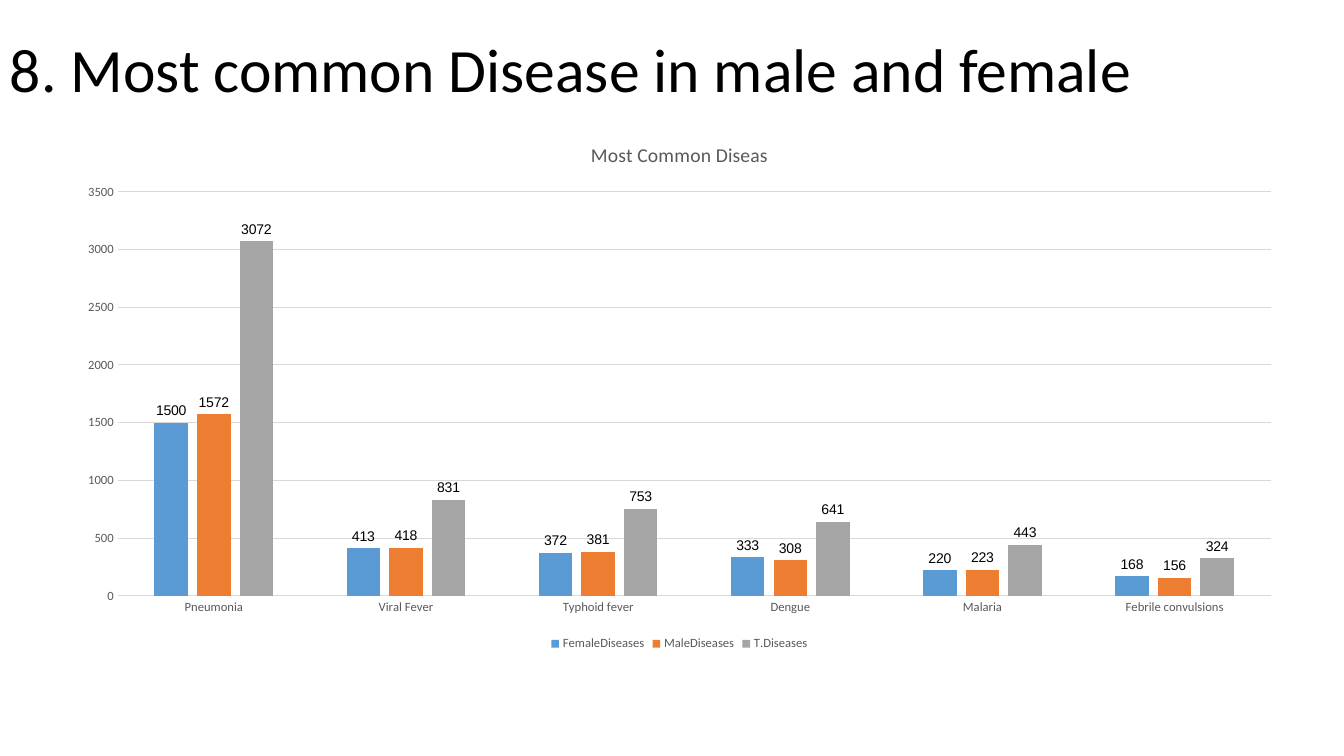
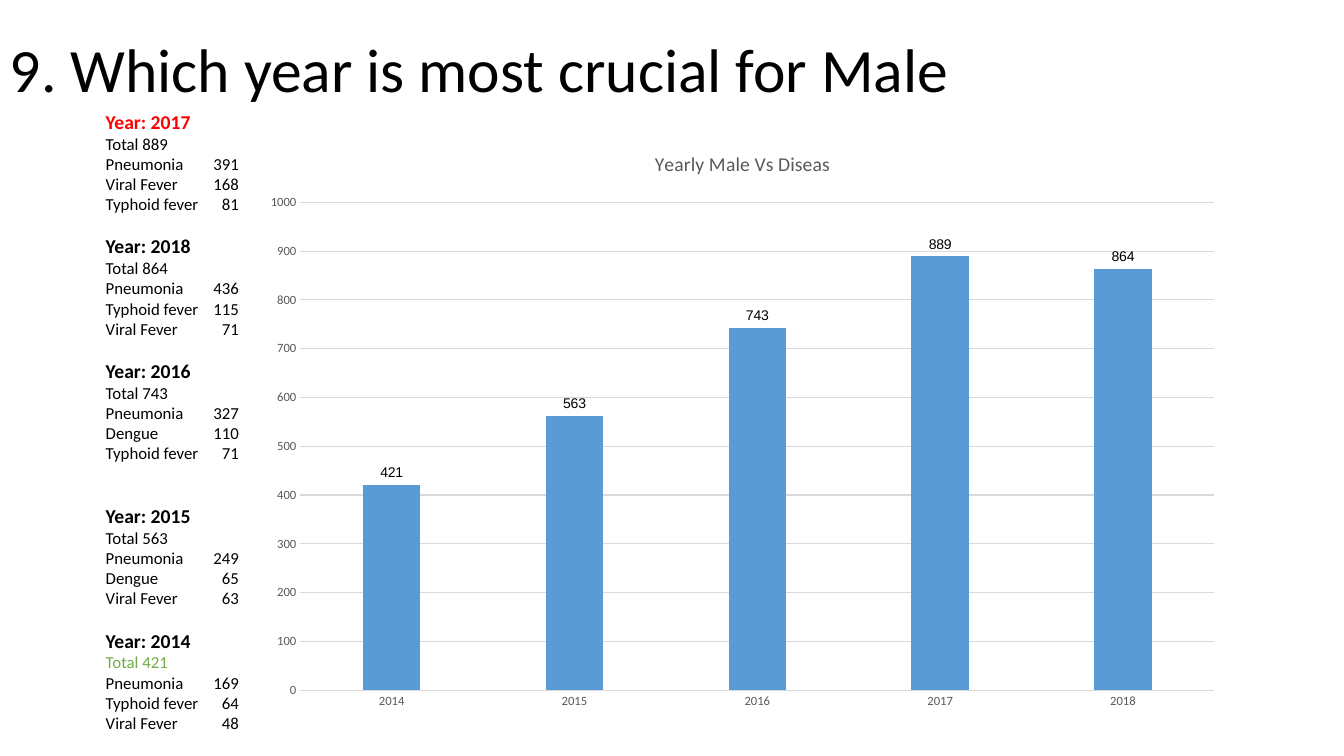
from collections import namedtuple

from lxml.etree import SubElement
from pptx import Presentation
from pptx.chart.data import CategoryChartData
from pptx.dml.color import RGBColor
from pptx.enum.chart import (XL_CHART_TYPE as ChartType, XL_LABEL_POSITION as LabelPosition,
                             XL_LEGEND_POSITION as LegendPosition, XL_TICK_MARK as TickMark)
from pptx.enum.text import MSO_ANCHOR as Anchor
from pptx.oxml.ns import qn
from pptx.util import Inches, Pt

# Shared look
BLACK, GREY, GRID = "000000", "595959", "D9D9D9"
RED, GREEN = "FF0000", "70AD47"
SERIES_COLORS = ["5B9BD5", "ED7D31", "A5A5A5"]
BODY_FONT, LABEL_FONT = "Calibri", "Arial"

Box = namedtuple("Box", "left top width height")

deck = Presentation()
deck.slide_width, deck.slide_height = Inches(13.33), Inches(7.5)


def share(left, top, width, height):
    """Box given in percent of the slide's width and height."""
    across, down = deck.slide_width / 100, deck.slide_height / 100
    return Box(int(left * across), int(top * down), int(width * across), int(height * down))


TITLE_BOX = share(0, 0, 101.8, 19.33)


def color(hex_value):
    return RGBColor.from_string(hex_value)


def style_font(font, size, hex_value, name=BODY_FONT, bold=False):
    font.size, font.name, font.bold = Pt(size), name, bold
    font.color.rgb = color(hex_value)


def add_span(para, text, size, hex_value=BLACK, bold=False):
    span = para.add_run()
    span.text = text
    style_font(span.font, size, hex_value, bold=bold)


def add_text_frame(page, box):
    frame = page.shapes.add_textbox(*box).text_frame
    frame.word_wrap = True
    return frame


def add_page(title):
    page = deck.slides.add_slide(deck.slide_layouts[6])
    frame = add_text_frame(page, TITLE_BOX)
    frame.vertical_anchor = Anchor.MIDDLE
    para = frame.paragraphs[0]
    para.line_spacing = 0.9
    add_span(para, title, 44)
    return page


def style_line(line):
    line.color.rgb = color(GRID)
    line.width = Pt(0.75)


def add_column_chart(page, box, title, categories, series, legend=False):
    data = CategoryChartData()
    data.categories = categories
    for name, values in series.items():
        data.add_series(name, values)
    chart = page.shapes.add_chart(ChartType.COLUMN_CLUSTERED, *box, data).chart
    style_font(chart.font, 10, BLACK, LABEL_FONT)

    # Title and legend
    chart.has_title = True
    add_span(chart.chart_title.text_frame.paragraphs[0], title, 14, GREY)
    chart.chart_title.include_in_layout = False
    chart.has_legend = legend
    if legend:
        chart.legend.position = LegendPosition.BOTTOM
        chart.legend.include_in_layout = False
        style_font(chart.legend.font, 9, GREY)

    # Axes
    for axis in (chart.category_axis, chart.value_axis):
        axis.major_tick_mark = axis.minor_tick_mark = TickMark.NONE
        style_font(axis.tick_labels.font, 9, GREY)
    style_line(chart.category_axis.format.line)
    chart.value_axis.format.line.fill.background()
    style_line(chart.value_axis.major_gridlines.format.line)

    # Columns and their values
    plot = chart.plots[0]
    plot.gap_width, plot.overlap, plot.vary_by_categories = 219, -27, False
    for column, fill_color in zip(plot.series, SERIES_COLORS):
        column.format.fill.solid()
        column.format.fill.fore_color.rgb = color(fill_color)
        labels = column.data_labels
        labels.show_value = True
        labels.position = LabelPosition.OUTSIDE_END
        style_font(labels.font, 10, BLACK, LABEL_FONT)


def add_right_tab(para, position):
    stops = SubElement(para._p.get_or_add_pPr(), qn("a:tabLst"))
    SubElement(stops, qn("a:tab"), pos=str(position), algn="r")


def add_year_list(page, box, years):
    frame = add_text_frame(page, box)
    para = frame.paragraphs[0]
    for index, (year, total, year_color, total_color, gap, diseases) in enumerate(years):
        if index:
            para = frame.add_paragraph()
        para.space_before = Pt(gap)
        add_span(para, f"Year: {year}", 14, year_color, bold=True)
        add_span(frame.add_paragraph(), f"Total {total}", 12, total_color)
        for disease, count in diseases.items():
            row = frame.add_paragraph()
            add_right_tab(row, Inches(1.32))
            add_span(row, f"{disease}\t{count}", 12)


# Diseases by sex
page = add_page("8. Most common Disease in male and female")
add_column_chart(
    page, share(4.73, 16.13, 91.65, 70.53), "Most Common Diseas",
    ["Pneumonia", "Viral Fever", "Typhoid fever", "Dengue", "Malaria", "Febrile convulsions"],
    {"FemaleDiseases": [1500, 413, 372, 333, 220, 168],
     "MaleDiseases": [1572, 418, 381, 308, 223, 156],
     "T.Diseases": [3072, 831, 753, 641, 443, 324]},
    legend=True)

# Male cases by year
LINE = 14.6
YEARS = [
    (2017, 889, RED, BLACK, 0, {"Pneumonia": 391, "Viral Fever": 168, "Typhoid fever": 81}),
    (2018, 864, BLACK, BLACK, LINE, {"Pneumonia": 436, "Typhoid fever": 115, "Viral Fever": 71}),
    (2016, 743, BLACK, BLACK, LINE, {"Pneumonia": 327, "Dengue": 110, "Typhoid fever": 71}),
    (2015, 563, BLACK, BLACK, 2 * LINE, {"Pneumonia": 249, "Dengue": 65, "Viral Fever": 63}),
    (2014, 421, BLACK, GREEN, LINE, {"Pneumonia": 169, "Typhoid fever": 64, "Viral Fever": 48}),
]
totals = {str(year): total for year, total, *_ in sorted(YEARS, key=lambda entry: entry[0])}
page = add_page("9. Which year is most crucial for Male")
add_year_list(page, share(7.13, 13.87, 50, 83.33), YEARS)
add_column_chart(page, share(18.68, 17.2, 73.14, 78.13), "Yearly Male Vs Diseas",
                 list(totals), {"Series 1": list(totals.values())})

deck.save("out.pptx")
